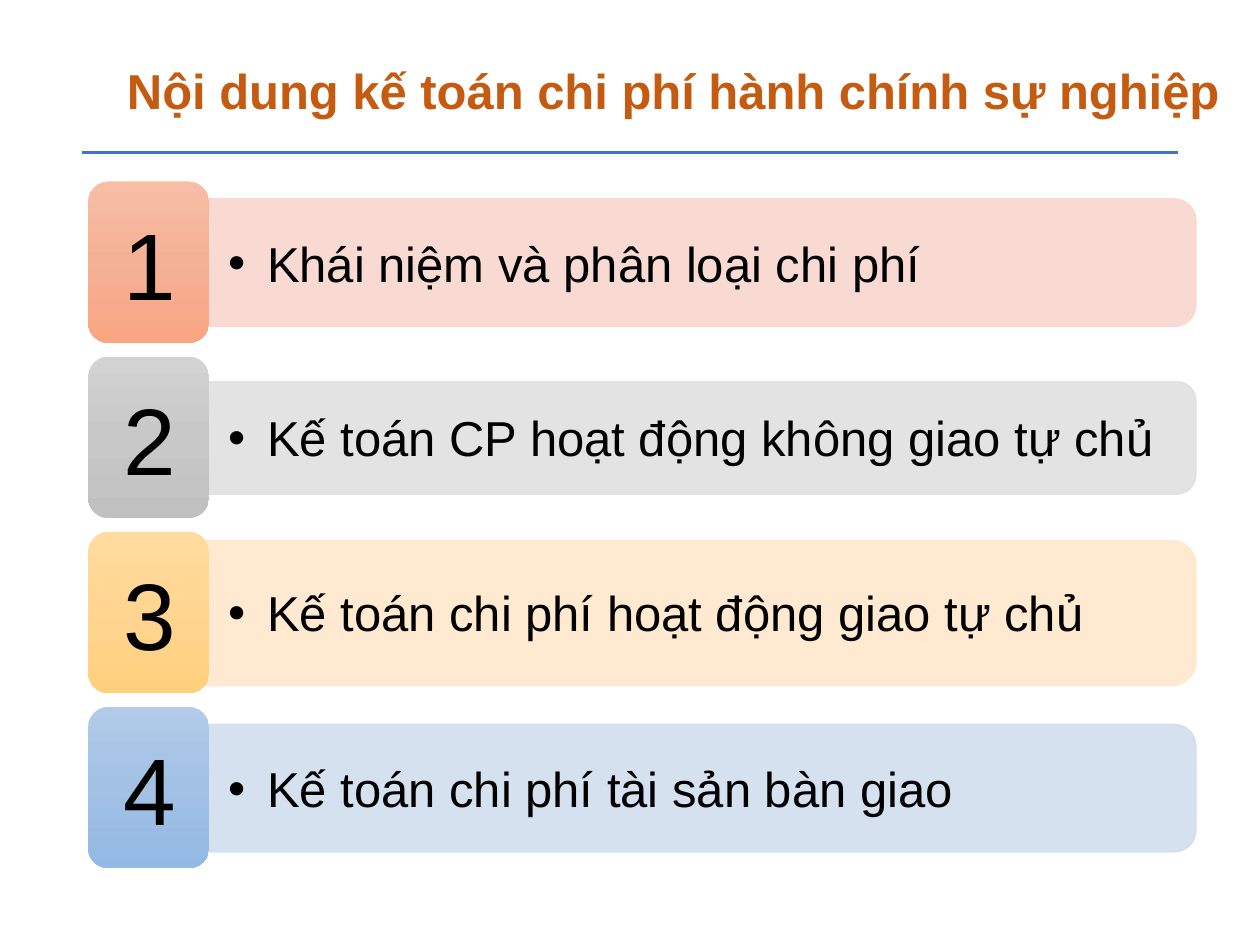
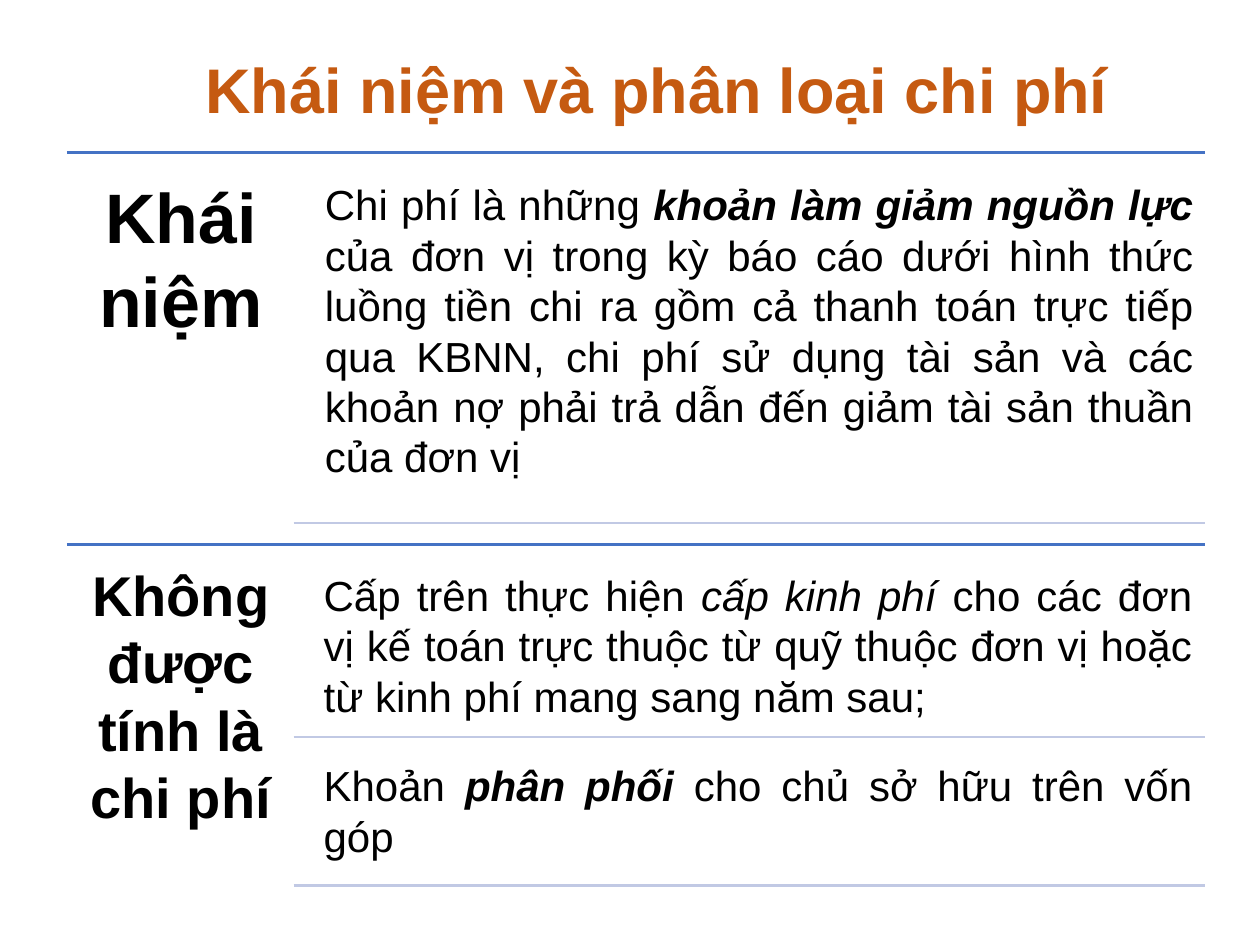
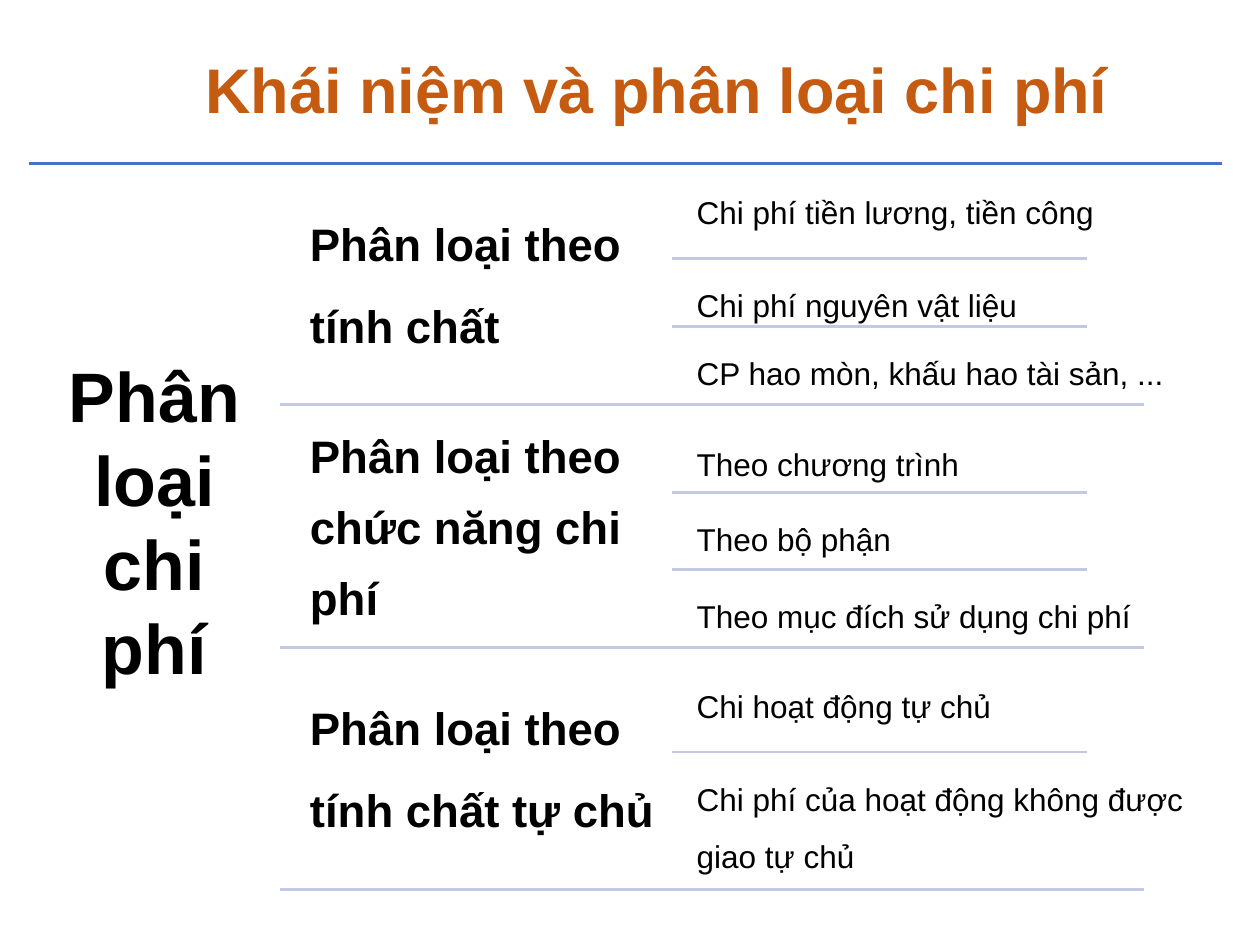
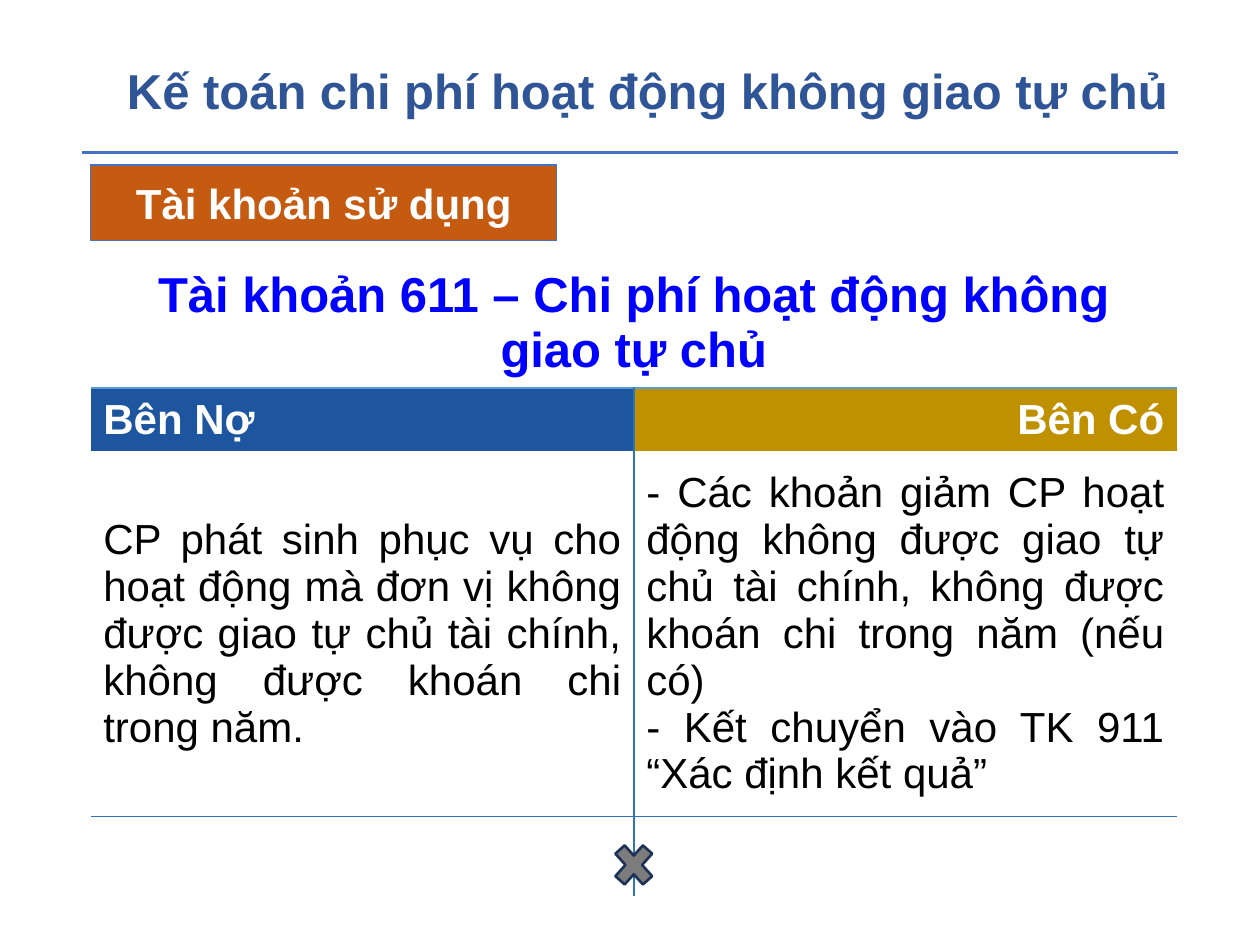
import dataclasses
import copy
import typing

import lxml.etree
import pptx
import pptx.dml.color
import pptx.enum.dml
import pptx.enum.shapes
import pptx.enum.text
import pptx.oxml.ns
import pptx.util

EMU_PER_PX = 9144
ALIGN = pptx.enum.text.PP_ALIGN
ANCHOR = pptx.enum.text.MSO_ANCHOR
SHAPE = pptx.enum.shapes.MSO_SHAPE
qn = pptx.oxml.ns.qn


@dataclasses.dataclass(frozen=True)
class Theme:
    font: str = "Arial"
    black: str = "000000"
    white: str = "FFFFFF"
    orange: str = "C55A11"
    navy: str = "2F5597"
    rule: str = "4472C4"
    pale_rule: str = "C1C9E4"
    account: str = "0000FF"
    debit: str = "1D559F"
    credit: str = "BF9000"
    grid: str = "2E75B6"
    grid_top: str = "5B9BD5"
    cross: str = "7C7C7C"
    cross_line: str = "1E3256"
    number: int = 54
    heading: int = 40
    big_title: int = 36
    subheading: int = 32
    title: int = 28
    label: int = 26
    body: int = 24
    leaf: int = 18


THEME = Theme()


class Box(typing.NamedTuple):
    x: int
    y: int
    w: int
    h: int


class Run(typing.NamedTuple):
    text: str
    bold: bool = False
    italic: bool = False


@dataclasses.dataclass(frozen=True)
class Style:
    size: int
    color: str = THEME.black
    align: typing.Any = ALIGN.LEFT
    anchor: typing.Any = ANCHOR.TOP
    inset: tuple[int, int, int, int] = (10, 5, 10, 5)
    line_spacing: float = 1.0
    after: float = 0.0
    margin: int = 0
    indent: int = 0
    bullet: bool = False


@dataclasses.dataclass(frozen=True)
class Topic:
    text: str
    band_height: int
    band: str
    shades: tuple[str, str, str]


@dataclasses.dataclass(frozen=True)
class Section:
    heading: Run
    heading_style: Style
    top: int
    height: int
    items: list[tuple[Box, list[Run], int]]


@dataclasses.dataclass(frozen=True)
class Group:
    label: str
    label_box: Box
    label_style: Style
    top: int
    leaves: list[tuple[str, int]]


def px(n: float) -> int:
    return round(n * EMU_PER_PX)


def rgb(color: str) -> pptx.dml.color.RGBColor:
    return pptx.dml.color.RGBColor.from_string(color)


def write(p, runs: list[Run], style: Style) -> None:
    p.alignment = style.align
    p.line_spacing = style.line_spacing
    p.space_after = pptx.util.Pt(round(style.size * style.after))
    pPr = p._p.get_or_add_pPr()
    pPr.set("marL", str(px(style.margin)))
    pPr.set("indent", str(px(style.indent)))
    if style.bullet:
        lxml.etree.SubElement(pPr, qn("a:buFont")).set("typeface", THEME.font)
        lxml.etree.SubElement(pPr, qn("a:buChar")).set("char", "•")
    for run in runs:
        r = p.add_run()
        r.text = run.text
        r.font.name = THEME.font
        r.font.size = pptx.util.Pt(style.size)
        r.font.color.rgb = rgb(style.color)
        r.font.bold = run.bold
        r.font.italic = run.italic


def add_text(s, box: Box, runs: list[Run], style: Style):
    tb = s.shapes.add_textbox(*map(px, box))
    tf = tb.text_frame
    tf.word_wrap = True
    tf.vertical_anchor = style.anchor
    tf.margin_left, tf.margin_top, tf.margin_right, tf.margin_bottom = map(px, style.inset)
    write(tf.paragraphs[0], runs, style)
    return tb


def add_shape(s, kind, box: Box, fill: str, line: str | None = None, width: float = 1):
    sp = s.shapes.add_shape(kind, *map(px, box))
    sp.shadow.inherit = False
    sp.fill.solid()
    sp.fill.fore_color.rgb = rgb(fill)
    if line:
        sp.line.color.rgb = rgb(line)
        sp.line.width = pptx.util.Pt(width)
    else:
        sp.line.fill.background()
    return sp


def add_rule(s, x1: int, x2: int, y: int, color: str) -> None:
    kind = pptx.enum.shapes.MSO_CONNECTOR.STRAIGHT
    cn = s.shapes.add_connector(kind, px(x1), px(y), px(x2), px(y))
    cn.line.color.rgb = rgb(color)
    cn.line.width = pptx.util.Pt(1.5)
    lxml.etree.SubElement(cn._element.spPr, qn("a:effectLst"))


def add_slide(prs, ruled: bool = True):
    s = prs.slides.add_slide(prs.slide_layouts[6])
    if ruled:
        add_rule(s, 65, 935, 121, THEME.rule)
    return s


def add_title(s, box: Box, text: str, style: Style) -> None:
    tb = add_text(s, box, [Run(text, bold=True)], style)
    tb.text_frame.auto_size = pptx.enum.text.MSO_AUTO_SIZE.SHAPE_TO_FIT_TEXT


WIDE_TITLE = Box(41, 43, 940, 57)
BIG_TITLE = Box(36, 35, 921, 71)
ORANGE_TITLE = Style(THEME.title, THEME.orange, indent=50)
NAVY_TITLE = Style(THEME.title, THEME.navy, indent=50)
CENTRED_TITLE = Style(THEME.big_title, THEME.orange, ALIGN.CENTER, indent=50)
CONCEPT_TITLE = "Khái niệm và phân loại chi phí"

TOPIC_STYLE = Style(THEME.title, align=ALIGN.JUSTIFY, anchor=ANCHOR.MIDDLE,
                    inset=(27, 14, 27, 14), after=0.15, margin=31, indent=-31, bullet=True)
NUMBER_STYLE = Style(THEME.number, align=ALIGN.JUSTIFY, anchor=ANCHOR.MIDDLE,
                     inset=(23, 11, 23, 11), after=0.35)
HEADING_STYLE = Style(THEME.heading, align=ALIGN.CENTER, inset=(17, 17, 17, 17), after=0.35)
SUBHEADING_STYLE = Style(THEME.subheading, align=ALIGN.CENTER, inset=(13, 13, 13, 13), after=0.35)
BODY_STYLE = Style(THEME.body, align=ALIGN.JUSTIFY, inset=(10, 10, 10, 10), after=0.35)
LABEL_STYLE = Style(THEME.label, inset=(11, 11, 11, 11), line_spacing=1.5, after=0.35)
TIGHT_LABEL_STYLE = dataclasses.replace(LABEL_STYLE, line_spacing=1.3, after=0)
LEAF_STYLE = Style(THEME.leaf, inset=(7, 7, 7, 7), line_spacing=1.5, after=0.35)

TOPICS = [
    Topic(CONCEPT_TITLE, 101, "F8D7CE", ("F7BDA5", "F5B196", "F8A582")),
    Topic("Kế toán CP hoạt động không giao tự chủ", 89, "E1E1E1", ("D2D2D2", "C8C8C8", "C0C0C0")),
    Topic("Kế toán chi phí hoạt động giao tự chủ", 115, "FFE8CC", ("FFDB9E", "FFD590", "FFD07C")),
    Topic("Kế toán chi phí tài sản bàn giao", 101, "D2DEEF", ("B1CBE9", "A3C1E5", "93B9E4")),
]

SECTIONS = [
    Section(Run("Khái niệm", bold=True), HEADING_STYLE, 121, 311, [
        (Box(248, 132, 709, 275), [
            Run("Chi phí là những "),
            Run("khoản làm giảm nguồn lực", bold=True, italic=True),
            Run(" của đơn vị trong kỳ báo cáo dưới hình thức luồng tiền chi ra gồm cả "
                "thanh toán trực tiếp qua KBNN, chi phí sử dụng tài sản và các khoản nợ "
                "phải trả dẫn đến giảm tài sản thuần của đơn vị"),
        ], 415),
    ]),
    Section(Run("Không được tính là chi phí", bold=True), SUBHEADING_STYLE, 432, 237, [
        (Box(247, 442, 709, 141), [
            Run("Cấp trên thực hiện "),
            Run("cấp kinh phí", italic=True),
            Run(" cho các đơn vị kế toán trực thuộc từ quỹ thuộc đơn vị hoặc "
                "từ kinh phí mang sang năm sau;"),
        ], 585),
        (Box(247, 593, 709, 110), [
            Run("Khoản "),
            Run("phân phối ", bold=True, italic=True),
            Run("cho chủ sở hữu trên vốn góp"),
        ], 703),
    ]),
]

GROUPS = [
    Group("Phân loại theo tính chất", Box(235, 139, 298, 174), LABEL_STYLE, 131, [
        ("Chi phí tiền lương, tiền công", 74),
        ("Chi phí nguyên vật liệu", 54),
        ("CP hao mòn, khấu hao tài sản, ...", 62),
    ]),
    Group("Phân loại theo chức năng chi phí", Box(235, 316, 298, 183), TIGHT_LABEL_STYLE, 331, [
        ("Theo chương trình", 60),
        ("Theo bộ phận", 61),
        ("Theo mục đích sử dụng chi phí", 62),
    ]),
    Group("Phân loại theo tính chất tự chủ", Box(235, 523, 298, 178), LABEL_STYLE, 523, [
        ("Chi hoạt động tự chủ", 74),
        ("Chi phí của hoạt động không được giao tự chủ", 109),
    ]),
]


def set_alpha(sp, percent: int) -> None:
    for clr in sp._element.spPr.iter(qn("a:srgbClr")):
        lxml.etree.SubElement(clr, qn("a:alpha")).set("val", str(percent * 1000))


def shade(sp, colors: tuple[str, str, str]) -> None:
    sp.fill.gradient()
    sp.fill.gradient_angle = 270
    stops = next(sp._element.spPr.iter(qn("a:gsLst")))
    stops.insert(1, copy.deepcopy(stops[0]))
    for i, (stop, color) in enumerate(zip(sp.fill.gradient_stops, colors)):
        stop.position = i / 2
        stop.color.rgb = rgb(color)


def add_topic(s, number: int, topic: Topic) -> None:
    centre = 208 + 139 * (number - 1)
    length, height = 795, topic.band_height
    upright = Box(154 + (length - height) // 2, centre - length // 2, height, length)
    band = add_shape(s, SHAPE.ROUND_2_SAME_RECTANGLE, upright, topic.band, topic.band)
    band.rotation = 90
    set_alpha(band, 90)
    text_height = round(height * 0.9)
    add_text(s, Box(154, centre - text_height // 2, 790, text_height),
             [Run(topic.text)], TOPIC_STYLE)
    badge = add_shape(s, SHAPE.ROUNDED_RECTANGLE, Box(70, centre - 64, 96, 128), topic.band)
    shade(badge, topic.shades)
    add_text(s, Box(75, centre - 59, 87, 119), [Run(str(number))], NUMBER_STYLE)


def contents_slide(prs) -> None:
    s = add_slide(prs)
    for number, topic in enumerate(TOPICS, 1):
        add_topic(s, number, topic)
    add_title(s, WIDE_TITLE, "Nội dung kế toán chi phí hành chính sự nghiệp", ORANGE_TITLE)


def concept_slide(prs) -> None:
    s = add_slide(prs)
    add_title(s, BIG_TITLE, CONCEPT_TITLE, CENTRED_TITLE)
    for section in SECTIONS:
        add_rule(s, 53, 956, section.top, THEME.rule)
        add_text(s, Box(53, section.top, 181, section.height),
                 [section.heading], section.heading_style)
        for box, runs, rule_y in section.items:
            add_text(s, box, runs, BODY_STYLE)
            add_rule(s, 233, 956, rule_y, THEME.pale_rule)


def classification_slide(prs) -> None:
    s = add_slide(prs, ruled=False)
    add_rule(s, 23, 970, 130, THEME.rule)
    lowered = dataclasses.replace(HEADING_STYLE, inset=(17, 150, 17, 17), after=0)
    add_text(s, Box(23, 130, 199, 585), [Run("Phân loại chi phí", bold=True)], lowered)
    for group in GROUPS:
        add_text(s, group.label_box, [Run(group.label, bold=True)], group.label_style)
        y = group.top
        for i, (text, height) in enumerate(group.leaves, 1):
            add_text(s, Box(546, y, 424, height), [Run(text)], LEAF_STYLE)
            y += height
            x1, x2 = (222, 908) if i == len(group.leaves) else (533, 863)
            add_rule(s, x1, x2, y, THEME.pale_rule)
    add_title(s, BIG_TITLE, CONCEPT_TITLE, CENTRED_TITLE)


def set_borders(cell, borders: dict[str, str]) -> None:
    tcPr = cell._tc.get_or_add_tcPr()
    for i, side in enumerate("LRTB"):
        ln = lxml.etree.Element(qn(f"a:ln{side}"))
        ln.set("w", str(pptx.util.Pt(1)))
        if side in borders:
            fill = lxml.etree.SubElement(ln, qn("a:solidFill"))
            lxml.etree.SubElement(fill, qn("a:srgbClr")).set("val", borders[side])
        else:
            lxml.etree.SubElement(ln, qn("a:noFill"))
        tcPr.insert(i, ln)


def fill_cell(cell, lines: list[str], style: Style, bold: bool = False) -> None:
    cell.vertical_anchor = ANCHOR.MIDDLE
    tf = cell.text_frame
    for i, line in enumerate(lines):
        p = tf.add_paragraph() if i else tf.paragraphs[0]
        write(p, [Run(line, bold)], style)


def add_account_table(s) -> None:
    heights = [103, 50, 290, 63]
    frame = s.shapes.add_table(4, 2, *map(px, Box(72, 205, 862, sum(heights))))
    table = frame.table
    table.first_row = table.horz_banding = False
    for column in table.columns:
        column.width = px(431)
    for row, height in zip(table.rows, heights):
        row.height = px(height)
    edges = [
        {"B": THEME.grid_top},
        {"T": THEME.grid_top},
        {"B": THEME.grid},
        {"T": THEME.grid},
    ]
    for r, edge in enumerate(edges):
        for c, inner in enumerate("RL"):
            cell = table.cell(r, c)
            cell.fill.background()
            set_borders(cell, edge | ({inner: THEME.grid} if r else {}))
    table.cell(0, 0).merge(table.cell(0, 1))
    fill_cell(table.cell(0, 0), ["Tài khoản 611 – Chi phí hoạt động không giao tự chủ"],
              Style(THEME.title, THEME.account, ALIGN.CENTER), bold=True)
    heads = [("Bên Nợ", THEME.debit, ALIGN.LEFT), ("Bên Có", THEME.credit, ALIGN.RIGHT)]
    for c, (text, color, align) in enumerate(heads):
        cell = table.cell(1, c)
        cell.fill.solid()
        cell.fill.fore_color.rgb = rgb(color)
        fill_cell(cell, [text], Style(THEME.body, THEME.white, align), bold=True)
    entries = [
        ["CP phát sinh phục vụ cho hoạt động mà đơn vị không được giao tự chủ tài chính, "
         "không được khoán chi trong năm."],
        ["- Các khoản giảm CP hoạt động không được giao tự chủ tài chính, "
         "không được khoán chi trong năm (nếu có)",
         "- Kết chuyển vào TK 911 “Xác định kết quả”"],
    ]
    for c, lines in enumerate(entries):
        fill_cell(table.cell(2, c), lines, Style(THEME.body, align=ALIGN.JUSTIFY))


def account_slide(prs) -> None:
    s = add_slide(prs)
    add_account_table(s)
    add_shape(s, SHAPE.MATH_MULTIPLY, Box(482, 663, 42, 47), THEME.cross, THEME.cross_line, 1.5)
    add_title(s, Box(41, 43, 926, 57), "Kế toán chi phí hoạt động không giao tự chủ", NAVY_TITLE)
    tag = add_shape(s, SHAPE.RECTANGLE, Box(72, 131, 370, 60), THEME.orange, THEME.rule, 0.75)
    tf = tag.text_frame
    tf.word_wrap = False
    tf.vertical_anchor = ANCHOR.MIDDLE
    write(tf.paragraphs[0], [Run("Tài khoản sử dụng", bold=True)],
          Style(THEME.body, THEME.white, ALIGN.CENTER))


def main() -> None:
    prs = pptx.Presentation()
    prs.slide_width, prs.slide_height = px(1000), px(750)
    contents_slide(prs)
    concept_slide(prs)
    classification_slide(prs)
    account_slide(prs)
    prs.save("out.pptx")


if __name__ == "__main__":
    main()
